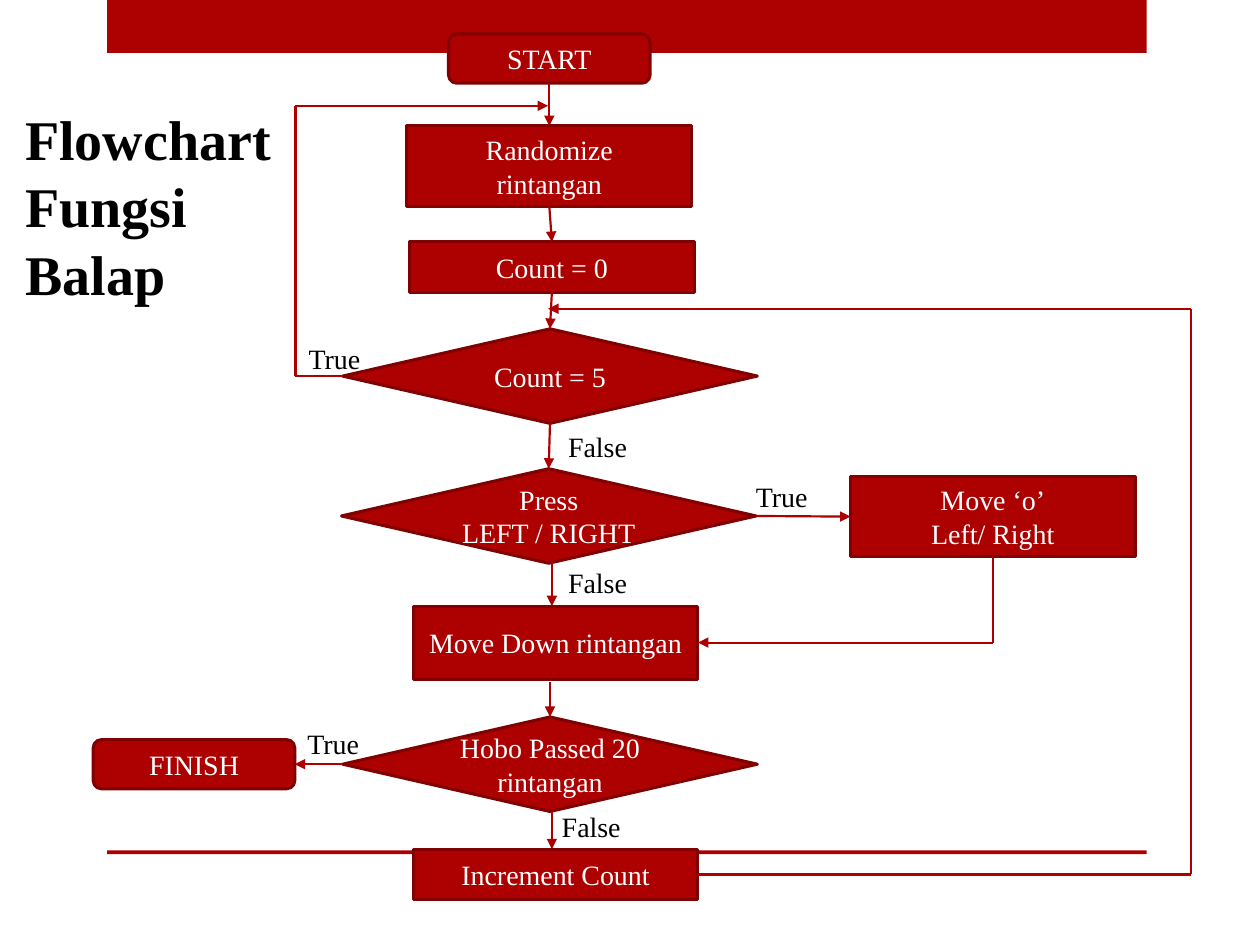
from dataclasses import dataclass
from typing import NamedTuple, Union

from lxml.etree import SubElement
from pptx import Presentation
from pptx.dml.color import RGBColor
from pptx.enum.shapes import MSO_CONNECTOR as CONN, MSO_SHAPE as SHAPE
from pptx.enum.text import MSO_ANCHOR as ANCHOR, MSO_AUTO_SIZE as FIT, PP_ALIGN as ALIGN
from pptx.oxml.ns import qn
from pptx.util import Pt

RED, DARK_RED, WHITE, BLACK = "AD0101", "800101", "FFFFFF", "000000"
TOP, LEFT, BOTTOM, RIGHT = range(4)
BODY = {"name": "Times New Roman", "size": Pt(16), "bold": False}
HEADING = {**BODY, "size": Pt(32), "bold": True}


@dataclass
class Node:
    text: str
    kind: SHAPE
    x: float
    y: float
    w: float
    h: float


class Label(NamedTuple):
    text: str
    x: float
    y: float


class Point(NamedTuple):
    x: float
    y: float


class Joint(NamedTuple):
    node: str
    side: int


End = Union[Point, Joint]


class Wire(NamedTuple):
    start: End
    end: End
    arrow: bool = True


def terminal(text: str, x: float, y: float) -> Node:
    return Node(text, SHAPE.ROUNDED_RECTANGLE, x, y, 115.2, 28.08)


def process(text: str, x: float, y: float, h: float) -> Node:
    return Node(text, SHAPE.RECTANGLE, x, y, 162.72, h)


def decision(text: str, x: float, y: float) -> Node:
    return Node(text, SHAPE.FLOWCHART_DECISION, x, y, 236.88, 54)


NODES = {
    "start": terminal("START", 256.32, 19.44),
    "randomize": process("Randomize\nrintangan", 232.56, 72, 46.08),
    "reset": process("Count = 0", 234, 138.24, 28.8),
    "count": decision("Count = 5", 195.84, 187.92),
    "press": decision("Press\nLEFT / RIGHT", 195.12, 267.84),
    "steer": process("Move ‘o’\nLeft/ Right", 486, 272.16, 46.08),
    "down": process("Move Down rintangan", 236.16, 346.32, 41.76),
    "passed": decision("Hobo Passed 20 rintangan", 195.84, 409.68),
    "finish": terminal("FINISH", 53.28, 422.64),
    "increment": process("Increment Count", 236.16, 485.28, 28.8),
}

WIRES = [
    # Main column
    Wire(Joint("start", BOTTOM), Joint("randomize", TOP)),
    Wire(Joint("randomize", BOTTOM), Joint("reset", TOP)),
    Wire(Joint("reset", BOTTOM), Joint("count", TOP)),
    Wire(Joint("count", BOTTOM), Joint("press", TOP)),
    Wire(Point(315.36, 321), Point(315.36, 346.32)),
    Wire(Point(314.28, 389.52), Joint("passed", TOP)),
    Wire(Point(315.36, 463.68), Point(315.36, 485.28)),
    # Side branches
    Wire(Joint("passed", LEFT), Joint("finish", RIGHT)),
    Wire(Joint("press", RIGHT), Joint("steer", LEFT)),
    Wire(Joint("steer", BOTTOM), Point(567.36, 367.2), False),
    Wire(Point(567.36, 367.2), Joint("down", RIGHT)),
    # Loop back to Randomize
    Wire(Joint("count", LEFT), Point(168.84, 214.92), False),
    Wire(Point(168.84, 214.92), Point(168.84, 60.48), False),
    Wire(Point(168.84, 60.48), Point(313.2, 60.48)),
    # Loop back to the count test
    Wire(Joint("increment", RIGHT), Point(680.4, 499.68), False),
    Wire(Point(680.4, 499.68), Point(680.4, 176.4), False),
    Wire(Point(680.4, 176.4), Point(313.2, 176.4)),
]

LABELS = [
    Label("True", 169.2, 191.52),
    Label("False", 317.52, 241.92),
    Label("True", 424.8, 270.72),
    Label("False", 317.52, 319.68),
    Label("True", 168.48, 411.84),
    Label("False", 313.92, 459.36),
]


def rgb(color: str) -> RGBColor:
    return RGBColor.from_string(color)


def write(sp, text: str, fmt: dict, color: str, align: ALIGN, anchor: ANCHOR) -> None:
    tf = sp.text_frame
    tf.word_wrap, tf.vertical_anchor = True, anchor
    for i, line in enumerate(text.split("\n")):
        p = tf.add_paragraph() if i else tf.paragraphs[0]
        p.alignment = align
        r = p.add_run()
        r.text = line
        for key, value in fmt.items():
            setattr(r.font, key, value)
        r.font.color.rgb = rgb(color)


def add_block(s, kind: SHAPE, x: float, y: float, w: float, h: float):
    sp = s.shapes.add_shape(kind, Pt(x), Pt(y), Pt(w), Pt(h))
    sp.shadow.inherit = False
    sp.fill.solid()
    sp.fill.fore_color.rgb = rgb(RED)
    sp.line.fill.background()
    return sp


def add_node(s, node: Node):
    sp = add_block(s, node.kind, node.x, node.y, node.w, node.h)
    sp.line.color.rgb = rgb(DARK_RED)
    sp.line.width = Pt(1.75)
    write(sp, node.text, BODY, WHITE, ALIGN.CENTER, ANCHOR.MIDDLE)
    return sp


def add_wire(s, wire: Wire, shapes: dict) -> None:
    ends = [(Pt(e.x), Pt(e.y)) if isinstance(e, Point) else (0, 0) for e in wire[:2]]
    cn = s.shapes.add_connector(CONN.STRAIGHT, *ends[0], *ends[1])
    for end, join in zip(wire[:2], (cn.begin_connect, cn.end_connect)):
        if isinstance(end, Joint):
            join(shapes[end.node], end.side)
    cn.line.color.rgb = rgb(RED)
    cn.line.width = Pt(1.25)
    if wire.arrow:
        SubElement(cn.line._get_or_add_ln(), qn("a:tailEnd"), type="triangle")
    SubElement(cn._element.spPr, qn("a:effectLst"))


def add_label(s, label: Label) -> None:
    sp = s.shapes.add_textbox(Pt(label.x), Pt(label.y), Pt(54), Pt(26.64))
    write(sp, label.text, BODY, BLACK, ALIGN.LEFT, ANCHOR.TOP)
    sp.text_frame.auto_size = FIT.SHAPE_TO_FIT_TEXT


def main() -> None:
    prs = Presentation()
    prs.slide_width, prs.slide_height = Pt(720), Pt(540)
    s = prs.slides.add_slide(prs.slide_layouts[5])

    # Title
    title = s.shapes.title
    title.left, title.top, title.width, title.height = Pt(7.2), Pt(56.16), Pt(155.52), Pt(123.84)
    write(title, "Flowchart Fungsi Balap", HEADING, BLACK, ALIGN.LEFT, ANCHOR.TOP)
    title.text_frame.auto_size = FIT.SHAPE_TO_FIT_TEXT

    # Page bands
    for y, h in ((0, 30.24), (486, 2.16)):
        add_block(s, SHAPE.RECTANGLE, 61.2, y, 594, h)

    # Flowchart
    shapes = {name: add_node(s, node) for name, node in NODES.items()}
    for wire in WIRES:
        add_wire(s, wire, shapes)
    for label in LABELS:
        add_label(s, label)

    prs.save("out.pptx")


if __name__ == "__main__":
    main()
